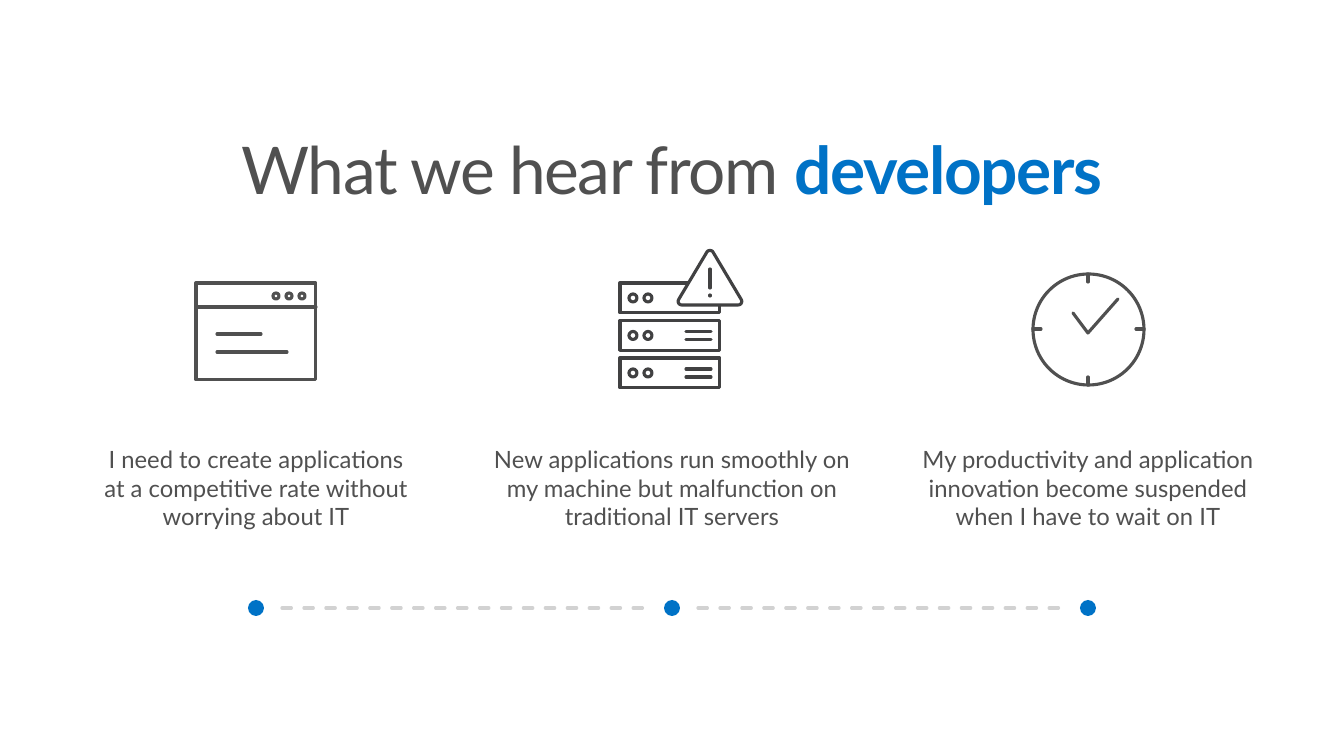
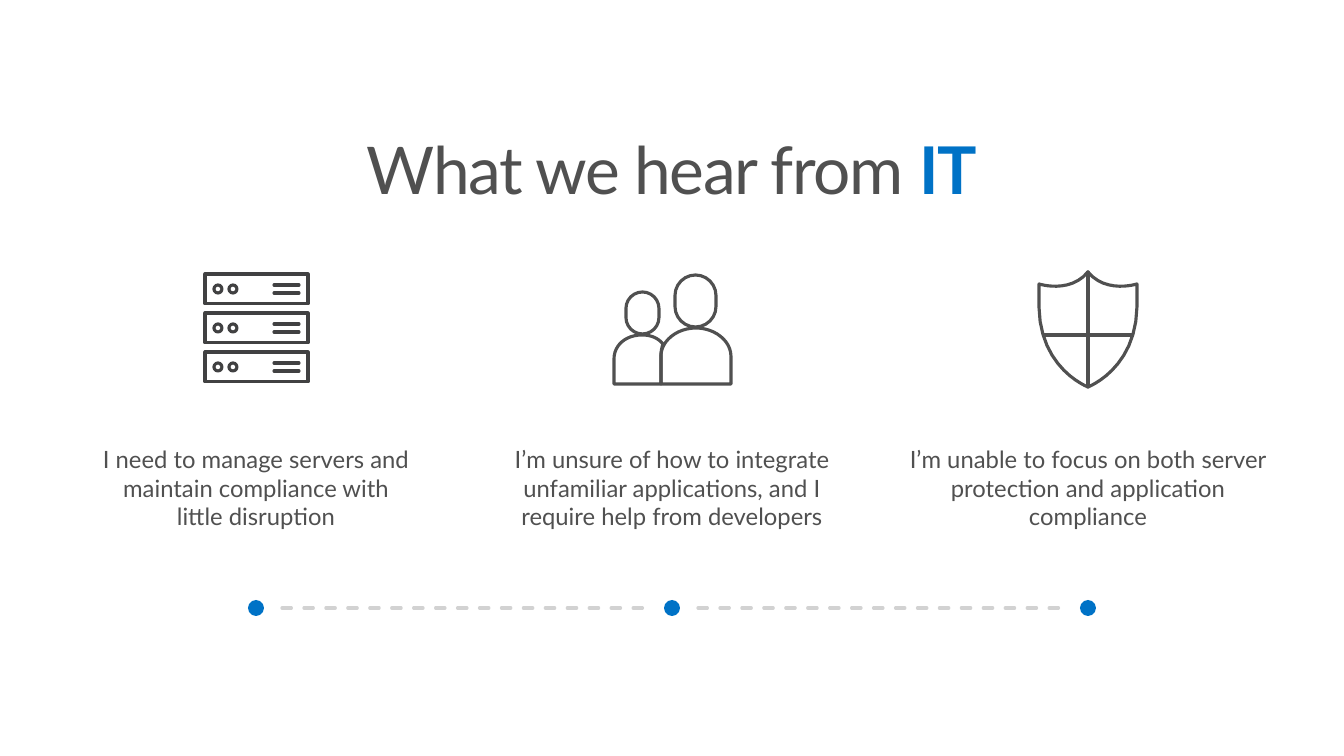
from pptx import Presentation
from pptx.dml.color import RGBColor
from pptx.enum.dml import MSO_LINE
from pptx.enum.shapes import MSO_CONNECTOR, MSO_SHAPE
from pptx.enum.text import MSO_ANCHOR, MSO_AUTO_SIZE, PP_ALIGN
from pptx.oxml.ns import qn
from pptx.util import Pt

DASH = MSO_LINE.DASH
STRAIGHT = MSO_CONNECTOR.STRAIGHT
OVAL, RECTANGLE = MSO_SHAPE.OVAL, MSO_SHAPE.RECTANGLE
ROUNDED = MSO_SHAPE.ROUNDED_RECTANGLE
TOP = MSO_ANCHOR.TOP
NO_FIT = MSO_AUTO_SIZE.NONE
CENTER = PP_ALIGN.CENTER

GRAY = RGBColor(0x50, 0x50, 0x50)
DARK_GRAY = RGBColor(0x41, 0x41, 0x42)
LIGHT_GRAY = RGBColor(0xD2, 0xD2, 0xD2)
BLUE = RGBColor(0x00, 0x72, 0xC6)
WHITE = RGBColor(0xFF, 0xFF, 0xFF)

FONT = "Lato"
EMU_PER_PX = 914400 / 100.8
SLIDE_WIDTH, SLIDE_HEIGHT = 1344, 756
TITLE_ONLY = 5
COLUMN_CENTERS = (256, 672, 1088)
CAPTION_WIDTHS = (348, 392, 392)
CAPTION_TOP, CAPTION_HEIGHT = 429, 149
TIMELINE_Y, DOT_SIZE, DOT_GAP = 608, 16, 26
CURVE_STEPS = 12


def px(*lengths):
    return [round(length * EMU_PER_PX) for length in lengths]


def style_line(shape, color, dash=None):
    """Give the shape a round-ended, round-cornered line and no shadow."""
    shape.line.color.rgb = color
    shape.line.width = Pt(2.25)
    if dash:
        shape.line.dash_style = dash
    properties = shape.element.spPr
    line = properties.get_or_add_ln()
    line.set("cap", "rnd")
    line.append(line.makeelement(qn("a:round"), {}))
    properties.append(properties.makeelement(qn("a:effectLst"), {}))


def add_line(shapes, start, end, color, dash=None):
    connector = shapes.add_connector(STRAIGHT, *px(*start, *end))
    style_line(connector, color, dash)


def curve_points(start, controls):
    """Sample a cubic curve given as two control points and an end."""
    x1, y1, x2, y2, x3, y3 = controls
    points = []
    for step in range(1, CURVE_STEPS + 1):
        t = step / CURVE_STEPS
        weights = ((1 - t) ** 3, 3 * t * (1 - t) ** 2, 3 * t * t * (1 - t), t ** 3)
        points.append(tuple(
            sum(weight * value for weight, value in zip(weights, values))
            for values in ((start[0], x1, x2, x3), (start[1], y1, y2, y3))
        ))
    return points


class Icon:
    """A group of line drawings placed relative to one corner."""

    def __init__(self, slide, left, top, color=GRAY):
        self.shapes = slide.shapes.add_group_shape().shapes
        self.left, self.top, self.color = left, top, color

    def place(self, x, y):
        return self.left + x, self.top + y

    def shape(self, kind, x, y, width, height):
        shape = self.shapes.add_shape(kind, *px(*self.place(x, y), width, height))
        shape.fill.background()
        style_line(shape, self.color)
        return shape

    def line(self, x1, y1, x2, y2):
        add_line(self.shapes, self.place(x1, y1), self.place(x2, y2), self.color)

    def outline(self, start, segments, close=True, fill=None):
        """Draw straight (x, y) and curved (x1, y1, x2, y2, x, y) segments."""
        points = [start]
        for segment in segments:
            if len(segment) == 2:
                points.append(segment)
            else:
                points.extend(curve_points(points[-1], segment))
        corners = [px(*self.place(*point)) for point in points]
        builder = self.shapes.build_freeform(*corners[0], scale=1.0)
        builder.add_line_segments(corners[1:], close=close)
        shape = builder.convert_to_shape()
        if fill is None:
            shape.fill.background()
        else:
            shape.fill.solid()
            shape.fill.fore_color.rgb = fill
        style_line(shape, self.color)


def draw_browser(slide, left, top):
    width, height = 120, 97
    icon = Icon(slide, left, top)
    icon.shape(RECTANGLE, 0, 0, width, height)
    icon.line(0, 24, width, 24)
    for button_x in (77, 90, 103):
        icon.shape(OVAL, button_x, 10, 6, 6)
    icon.line(21, 51, 65, 51)
    icon.line(21, 69, 91, 69)


def draw_servers(slide, left, top, width, height):
    unit_height = 30
    pitch = (height - unit_height) / 2
    icon = Icon(slide, left, top, DARK_GRAY)
    for unit in range(3):
        unit_top = unit * pitch
        icon.shape(RECTANGLE, 0, unit_top, width, unit_height)
        for light_x in (9, 24):
            icon.shape(OVAL, light_x, unit_top + 11, 8, 8)
        for vent_y in (11, 19):
            icon.line(width - 34, unit_top + vent_y, width - 9, unit_top + vent_y)


def draw_warning(slide, left, top):
    icon = Icon(slide, left, top, DARK_GRAY)
    icon.outline(
        (35, 2),
        [(63, 49), (65, 52, 63, 55, 60, 55), (4, 55),
         (1, 55, -1, 52, 1, 49), (29, 2), (30, 0, 34, 0, 35, 2)],
        fill=WHITE,
    )
    icon.line(32, 19, 32, 38)
    icon.line(32, 45, 32, 46)


def draw_failing_servers(slide, left, top):
    draw_servers(slide, left, top + 33, 100, 105)
    draw_warning(slide, left + 58, top)


def draw_server_stack(slide, left, top):
    draw_servers(slide, left, top, 103, 108)


def draw_clock(slide, left, top):
    size, middle, tick = 111, 55, 8
    icon = Icon(slide, left, top)
    icon.shape(OVAL, 0, 0, size, size)
    icon.outline((85, 25), [(55, 59), (40, 39)], close=False)
    for start, end in ((0, tick), (size - tick, size)):
        icon.line(middle, start, middle, end)
        icon.line(start, middle, end, middle)


def draw_people(slide, left, top):
    icon = Icon(slide, left, top)
    for head in ((12, 17, 33, 42), (61, 0, 41, 52)):
        icon.shape(ROUNDED, *head).adjustments[0] = 0.5
    icon.outline((82, 53), [
        (63, 53, 47, 66, 47, 81), (47, 109), (117, 109),
        (117, 81), (117, 66, 101, 53, 82, 53),
    ])
    icon.outline((47, 80), [
        (47, 76, 48, 72, 49, 69), (44, 63, 37, 60, 28, 60),
        (12, 60, 0, 70, 0, 84), (0, 109), (47, 109),
    ])


def draw_shield(slide, left, top):
    icon = Icon(slide, left, top)
    icon.outline((0, 12), [
        (0, 12, 31, 22, 49, 0), (67, 22, 98, 12, 98, 12), (98, 35),
        (97, 97, 49, 115, 49, 115), (49, 115, 1, 97, 0, 35),
    ])
    icon.line(49, 0, 49, 115)
    icon.line(5, 63, 93, 63)


def set_frame(frame, inset):
    frame.word_wrap = True
    frame.auto_size = NO_FIT
    frame.vertical_anchor = TOP
    margin = px(inset)[0]
    frame.margin_left = frame.margin_right = margin
    frame.margin_top = frame.margin_bottom = margin


def add_run(paragraph, text, size, color, bold=False):
    run = paragraph.add_run()
    run.text = text
    run.font.name = FONT
    run.font.size = Pt(size)
    run.font.color.rgb = color
    run.font.bold = bold
    return run


def write_title(slide, audience):
    title = slide.shapes.title
    title.left, title.top, title.width, title.height = px(29, 128, 1286, 99)
    set_frame(title.text_frame, 10)
    paragraph = title.text_frame.paragraphs[0]
    paragraph.alignment = CENTER
    paragraph.line_spacing = 0.9
    for text, color, bold in (("What we hear from ", GRAY, False), (audience, BLUE, True)):
        run = add_run(paragraph, text, 47, color, bold)
        run.font._element.set("spc", "-100")


def add_caption(slide, center, width, text):
    box = slide.shapes.add_textbox(
        *px(center - width / 2, CAPTION_TOP, width, CAPTION_HEIGHT))
    set_frame(box.text_frame, 16)
    paragraph = box.text_frame.paragraphs[0]
    paragraph.alignment = CENTER
    add_run(paragraph, text, 17, GRAY)


def add_timeline(slide):
    shapes = slide.shapes.add_group_shape().shapes
    radius = DOT_SIZE / 2
    for center in COLUMN_CENTERS:
        dot = shapes.add_shape(
            OVAL, *px(center - radius, TIMELINE_Y - radius, DOT_SIZE, DOT_SIZE))
        dot.shadow.inherit = False
        dot.fill.solid()
        dot.fill.fore_color.rgb = BLUE
        dot.line.fill.background()
    for start, end in zip(COLUMN_CENTERS, COLUMN_CENTERS[1:]):
        add_line(shapes, (start + DOT_GAP, TIMELINE_Y), (end - DOT_GAP, TIMELINE_Y),
                 LIGHT_GRAY, DASH)


def add_feedback_slide(presentation, audience, columns):
    """Add a slide whose columns are (icon function, left, top, caption)."""
    slide = presentation.slides.add_slide(presentation.slide_layouts[TITLE_ONLY])
    write_title(slide, audience)
    for center, width, column in zip(COLUMN_CENTERS, CAPTION_WIDTHS, columns):
        draw_icon, left, top, caption = column
        add_caption(slide, center, width, caption)
        draw_icon(slide, left, top)
    add_timeline(slide)


def main():
    presentation = Presentation()
    presentation.slide_width, presentation.slide_height = px(SLIDE_WIDTH, SLIDE_HEIGHT)
    add_feedback_slide(presentation, "developers", (
        (draw_browser, 196, 283,
         "I need to create applications at a competitive rate without worrying about IT"),
        (draw_failing_servers, 620, 250,
         "New applications run smoothly on my machine but malfunction on traditional IT servers"),
        (draw_clock, 1033, 274,
         "My productivity and application innovation become suspended when I have to wait on IT"),
    ))
    add_feedback_slide(presentation, "IT", (
        (draw_server_stack, 205, 274,
         "I need to manage servers and maintain compliance with little disruption"),
        (draw_people, 614, 275,
         "I’m unsure of how to integrate unfamiliar applications, and I require help from developers"),
        (draw_shield, 1039, 272,
         "I’m unable to focus on both server protection and application compliance"),
    ))
    presentation.save("out.pptx")


if __name__ == "__main__":
    main()
